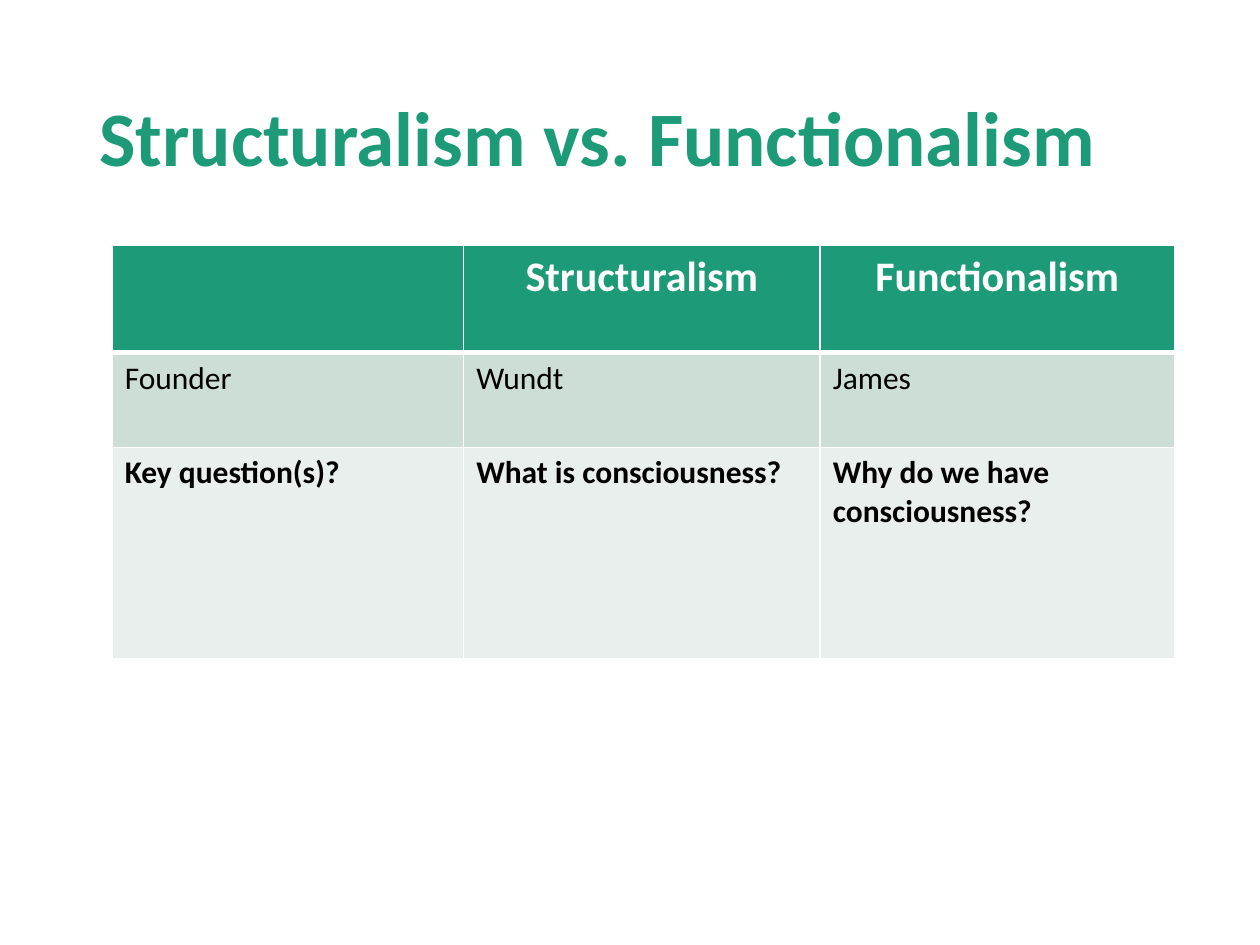
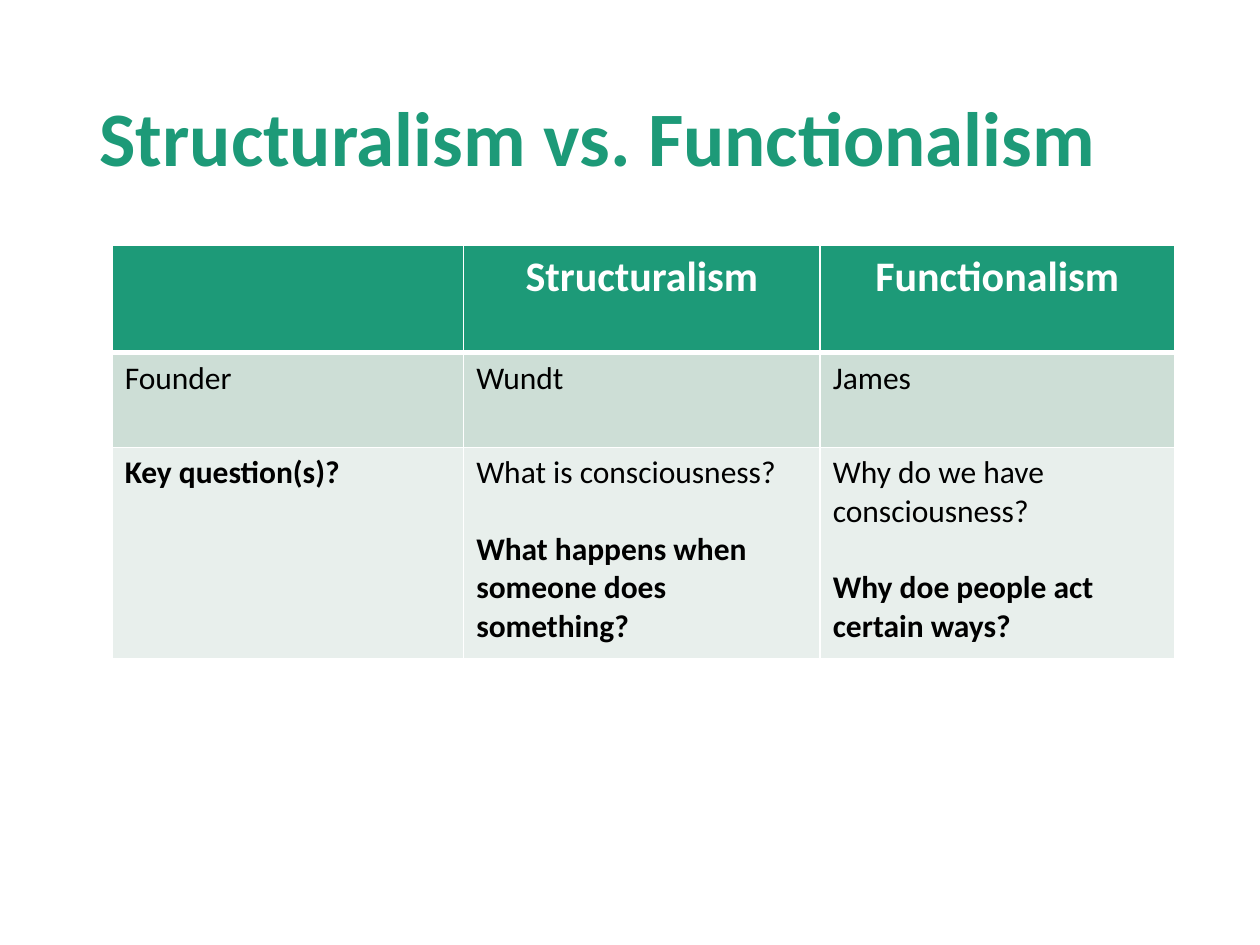
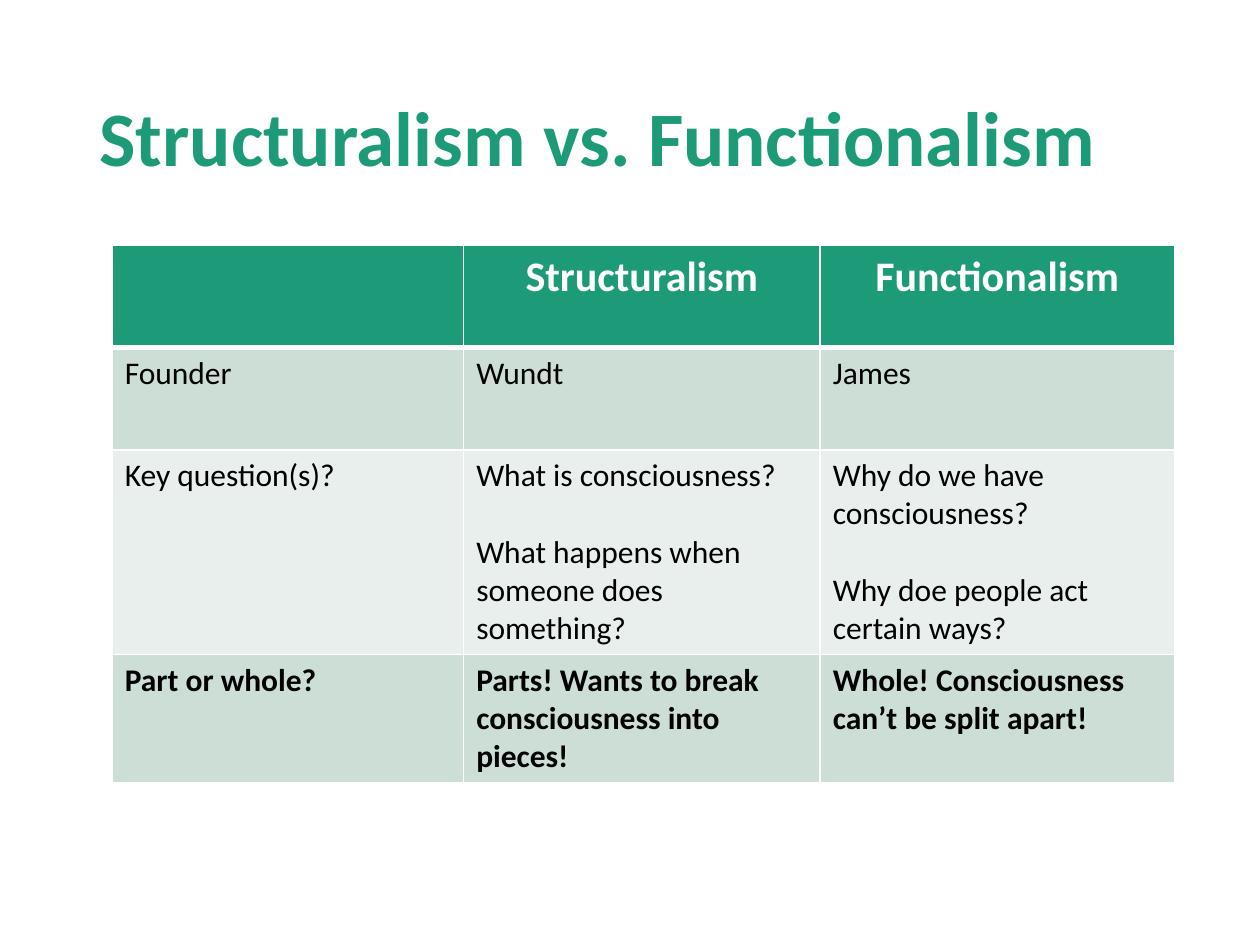
from dataclasses import dataclass

from lxml import etree
from pptx import Presentation
from pptx.dml.color import RGBColor
from pptx.enum import text
from pptx.oxml.ns import qn
from pptx.util import Inches, Pt


@dataclass(frozen=True)
class Theme:
    font: str = "Calibri"
    green: str = "1D9A78"
    dark_band: str = "CDDED6"
    light_band: str = "E8EFEC"
    white: str = "FFFFFF"
    black: str = "000000"
    title_size: int = 44
    header_size: int = 24
    body_size: int = 18
    question_gap: int = 22
    thin_line: int = 1
    header_line: int = 3


THEME = Theme()


def style_paragraph(paragraph, size, color, bold):
    for run in paragraph.runs:
        run.font.name = THEME.font
        run.font.size = Pt(size)
        run.font.bold = bold
        run.font.color.rgb = RGBColor.from_string(color)


def add_borders(cell, top, bottom):
    """Draw white cell borders; top and bottom are widths in points."""
    properties = cell._tc.get_or_add_tcPr()
    widths = {"lnL": THEME.thin_line, "lnR": THEME.thin_line, "lnT": top, "lnB": bottom}
    for side, width in widths.items():
        line = etree.SubElement(properties, qn(f"a:{side}"), w=str(Pt(width)))
        fill = etree.SubElement(line, qn("a:solidFill"))
        etree.SubElement(fill, qn("a:srgbClr"), val=THEME.white)


TITLE = "Structuralism vs. Functionalism"
COLUMN_WIDTHS = (2.79, 2.83, 2.81)

# Each cell is a list of paragraphs.
HEADER = ([], ["Structuralism"], ["Functionalism"])
FOUNDER = (["Founder"], ["Wundt"], ["James"])
KEY_LABEL = "Key question(s)?"
FIRST_QUESTIONS = ("What is consciousness?", "Why do we have consciousness?")
SECOND_QUESTIONS = ("What happens when someone does something?", "Why doe people act certain ways?")
ONE_QUESTION = ([KEY_LABEL], *([question] for question in FIRST_QUESTIONS))
TWO_QUESTIONS = ([KEY_LABEL], *(list(pair) for pair in zip(FIRST_QUESTIONS, SECOND_QUESTIONS)))
PART_OR_WHOLE = (
    ["Part or whole?"],
    ["Parts! Wants to break consciousness into pieces!"],
    ["Whole! Consciousness can’t be split apart!"],
)

# Row heights, rows, and the newly introduced texts shown in bold.
SLIDES = (
    ((0.85, 0.75, 1.68), (HEADER, FOUNDER, ONE_QUESTION), (KEY_LABEL, *FIRST_QUESTIONS)),
    ((0.85, 0.75, 1.68), (HEADER, FOUNDER, TWO_QUESTIONS), (KEY_LABEL, *SECOND_QUESTIONS)),
    (
        (0.81, 0.81, 1.41, 0.81),
        (HEADER, FOUNDER, TWO_QUESTIONS, PART_OR_WHOLE),
        [line for cell in PART_OR_WHOLE for line in cell],
    ),
)

presentation = Presentation()
presentation.slide_width = Inches(10)
presentation.slide_height = Inches(7.5)
title_only = presentation.slide_layouts.get_by_name("Title Only")

for row_heights, rows, bold_texts in SLIDES:
    slide = presentation.slides.add_slide(title_only)

    title = slide.shapes.title
    title.left, title.top = Inches(0.69), Inches(0.4)
    title.width, title.height = Inches(8.62), Inches(1.45)
    title.text_frame.text = TITLE
    title.text_frame.vertical_anchor = text.MSO_ANCHOR.MIDDLE
    paragraph = title.text_frame.paragraphs[0]
    paragraph.alignment = text.PP_ALIGN.LEFT
    paragraph.line_spacing = 0.9
    style_paragraph(paragraph, THEME.title_size, THEME.green, True)

    table = slide.shapes.add_table(
        len(rows), len(COLUMN_WIDTHS), Inches(0.89), Inches(1.95),
        Inches(sum(COLUMN_WIDTHS)), Inches(sum(row_heights)),
    ).table
    for column, width in zip(table.columns, COLUMN_WIDTHS):
        column.width = Inches(width)

    for row_index, (height, row) in enumerate(zip(row_heights, rows)):
        table.rows[row_index].height = Inches(height)
        is_header = row_index == 0
        band = THEME.dark_band if row_index % 2 else THEME.light_band
        for column_index, lines in enumerate(row):
            cell = table.cell(row_index, column_index)
            add_borders(
                cell,
                top=THEME.header_line if row_index == 1 else THEME.thin_line,
                bottom=THEME.header_line if is_header else THEME.thin_line,
            )
            cell.fill.solid()
            cell.fill.fore_color.rgb = RGBColor.from_string(THEME.green if is_header else band)
            cell.text_frame.text = "\n".join(lines)
            for line_index, paragraph in enumerate(cell.text_frame.paragraphs):
                if line_index:
                    paragraph.space_before = Pt(THEME.question_gap)
                if is_header:
                    paragraph.alignment = text.PP_ALIGN.CENTER
                    style_paragraph(paragraph, THEME.header_size, THEME.white, True)
                else:
                    is_new = paragraph.text in bold_texts
                    style_paragraph(paragraph, THEME.body_size, THEME.black, is_new)

presentation.save("out.pptx")
